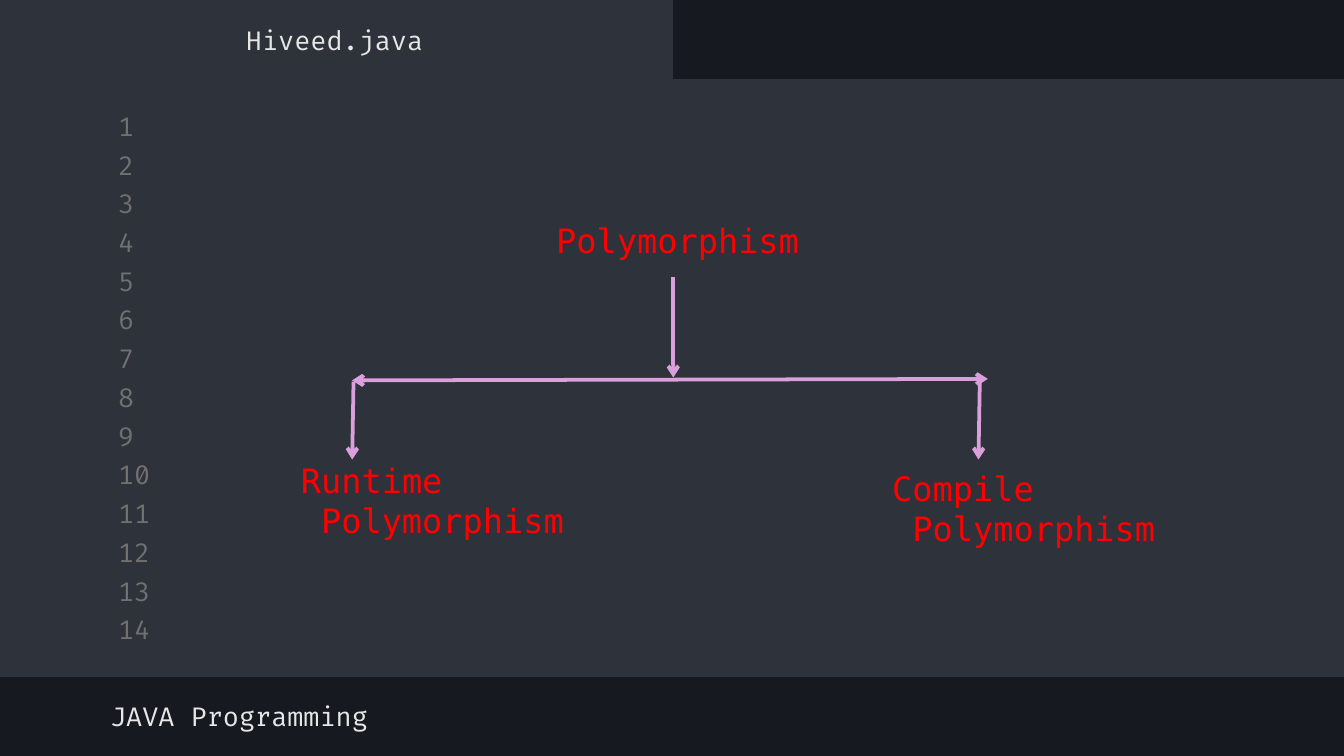
from dataclasses import dataclass

from lxml.etree import SubElement
from pptx import Presentation
from pptx.dml.color import RGBColor
from pptx.enum.shapes import MSO_CONNECTOR, MSO_SHAPE
from pptx.enum.text import MSO_ANCHOR, MSO_AUTO_SIZE, PP_ALIGN
from pptx.oxml.ns import qn
from pptx.util import Pt


@dataclass(frozen=True)
class Theme:
    back: str = "16191F"
    panel: str = "2E323B"
    number: str = "707070"
    label: str = "E7E7E7"
    node: str = "FF0000"
    arrow: str = "DBA0DB"
    code: str = "Fira Code"
    mono: str = "DejaVu Sans Mono"
    small: int = 14
    large: int = 18


THEME = Theme()


def color(code):
    return RGBColor.from_string(code)


def place(shape, left, top, width, height):
    shape.left, shape.top = Pt(left), Pt(top)
    shape.width, shape.height = Pt(width), Pt(height)


def write(shape, text, *, font=THEME.code, size=THEME.small, ink=THEME.label,
          align=PP_ALIGN.LEFT, anchor=MSO_ANCHOR.MIDDLE, pad=7.2, indent=0):
    """Fill a shape with text; lines after the first take the indent."""
    frame = shape.text_frame
    frame.word_wrap = True
    frame.auto_size = MSO_AUTO_SIZE.NONE
    frame.vertical_anchor = anchor
    frame.margin_left = frame.margin_right = Pt(7.2)
    frame.margin_top = frame.margin_bottom = Pt(pad)
    frame.text = text
    for i, para in enumerate(frame.paragraphs):
        para.alignment = align
        para.space_before = Pt(0)
        if i and indent:
            para._p.get_or_add_pPr().set("marL", str(Pt(indent)))
        for run in para.runs:
            run.font.name = font
            run.font.size = Pt(size)
            run.font.color.rgb = color(ink)


def panel(slide, *box):
    shape = slide.shapes.add_shape(MSO_SHAPE.RECTANGLE, *map(Pt, box))
    shape.shadow.inherit = False
    shape.fill.solid()
    shape.fill.fore_color.rgb = color(THEME.panel)
    shape.line.color.rgb = color(THEME.panel)
    shape.line.width = Pt(0.75)
    # Panels lie behind the placeholders
    slide.shapes._spTree.insert(2, shape._element)


def label(slide, text, *box, **style):
    write(slide.shapes.add_textbox(*map(Pt, box)), text, **style)


def node(slide, text, *box):
    label(slide, text, *box, font=THEME.mono, size=THEME.large,
          ink=THEME.node, anchor=MSO_ANCHOR.TOP, pad=3.6, indent=10.84)


def arrow(slide, *ends, both=False):
    line = slide.shapes.add_connector(MSO_CONNECTOR.STRAIGHT, *map(Pt, ends))
    line.line.color.rgb = color(THEME.arrow)
    line.line.width = Pt(2)
    stroke = line.line._get_or_add_ln()
    for tag in ("a:headEnd", "a:tailEnd") if both else ("a:tailEnd",):
        SubElement(stroke, qn(tag)).set("type", "arrow")
    SubElement(line._element.spPr, qn("a:effectLst"))


def main():
    deck = Presentation()
    deck.slide_width, deck.slide_height = Pt(720), Pt(405)
    slide = deck.slides.add_slide(deck.slide_layouts[0])
    slide.background.fill.solid()
    slide.background.fill.fore_color.rgb = color(THEME.back)

    # Editor window with its open tab
    panel(slide, 0, 42.5, 720, 319.7)
    panel(slide, 0, 0, 360, 46.8)

    # File name and footer
    title, footer = slide.placeholders
    place(title, -0.7, 7.2, 360, 28)
    write(title, "Hiveed.java", align=PP_ALIGN.CENTER)
    place(footer, 51.8, 369.4, 383, 28)
    write(footer, "JAVA Programming")

    # Line numbers
    for i in range(14):
        label(slide, str(i + 1), 56.2, 58.8 + 20.75 * i, 33.8, 17.3,
              ink=THEME.number)

    # Tree of polymorphism kinds
    node(slide, "Polymorphism", 290.9, 114.5, 287.3, 28.8)
    node(slide, "Runtime\nPolymorphism", 154.1, 242.6, 187.9, 51.1)
    node(slide, "Compile\nPolymorphism", 470.9, 247, 187.9, 51.1)

    # Branches
    arrow(slide, 360.7, 148.3, 360.7, 202.3)
    arrow(slide, 188.6, 203.8, 529.2, 203, both=True)
    for x in (189.4, 524.9):
        arrow(slide, x, 204.5, x - 0.7, 246.2)

    deck.save("out.pptx")


if __name__ == "__main__":
    main()
